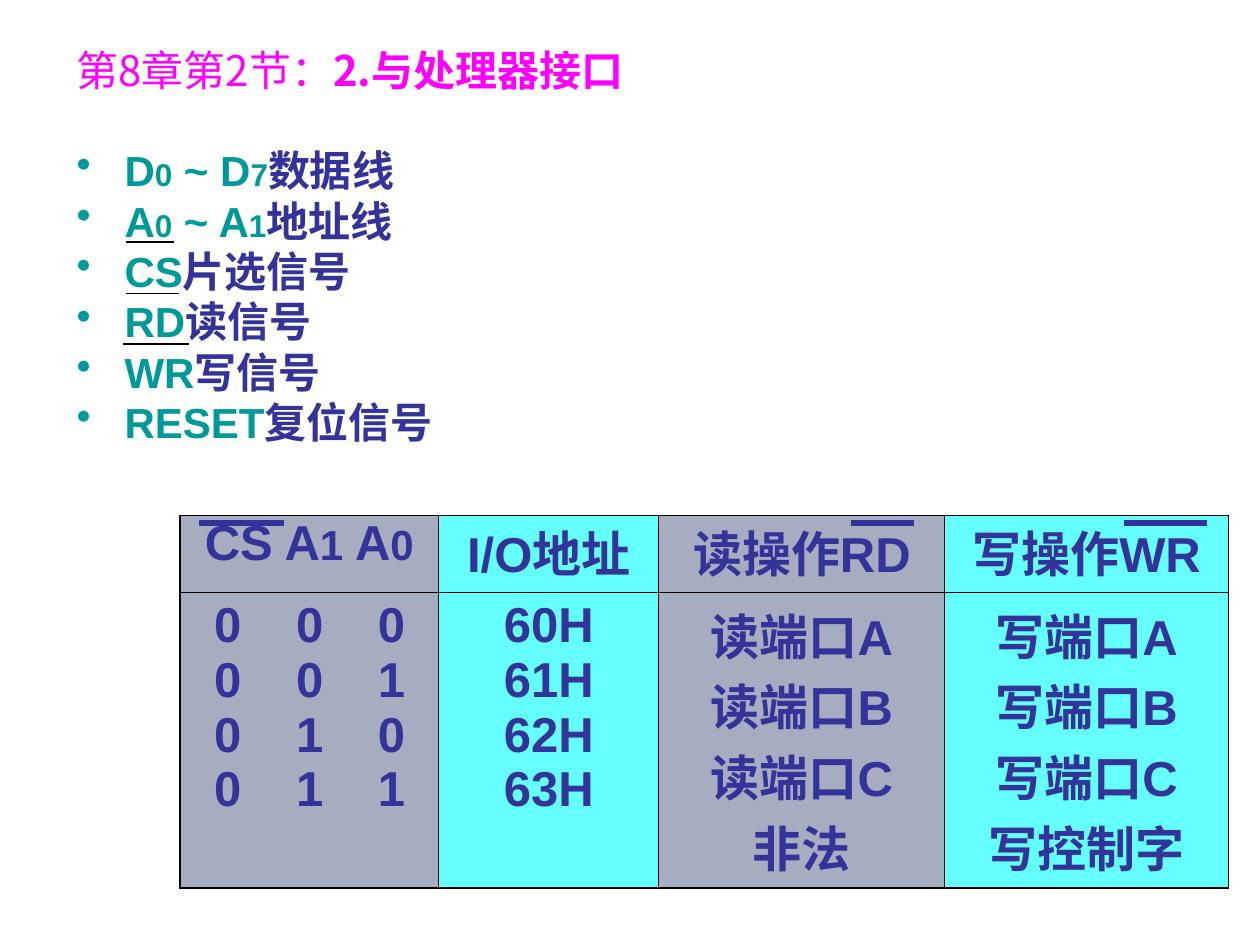
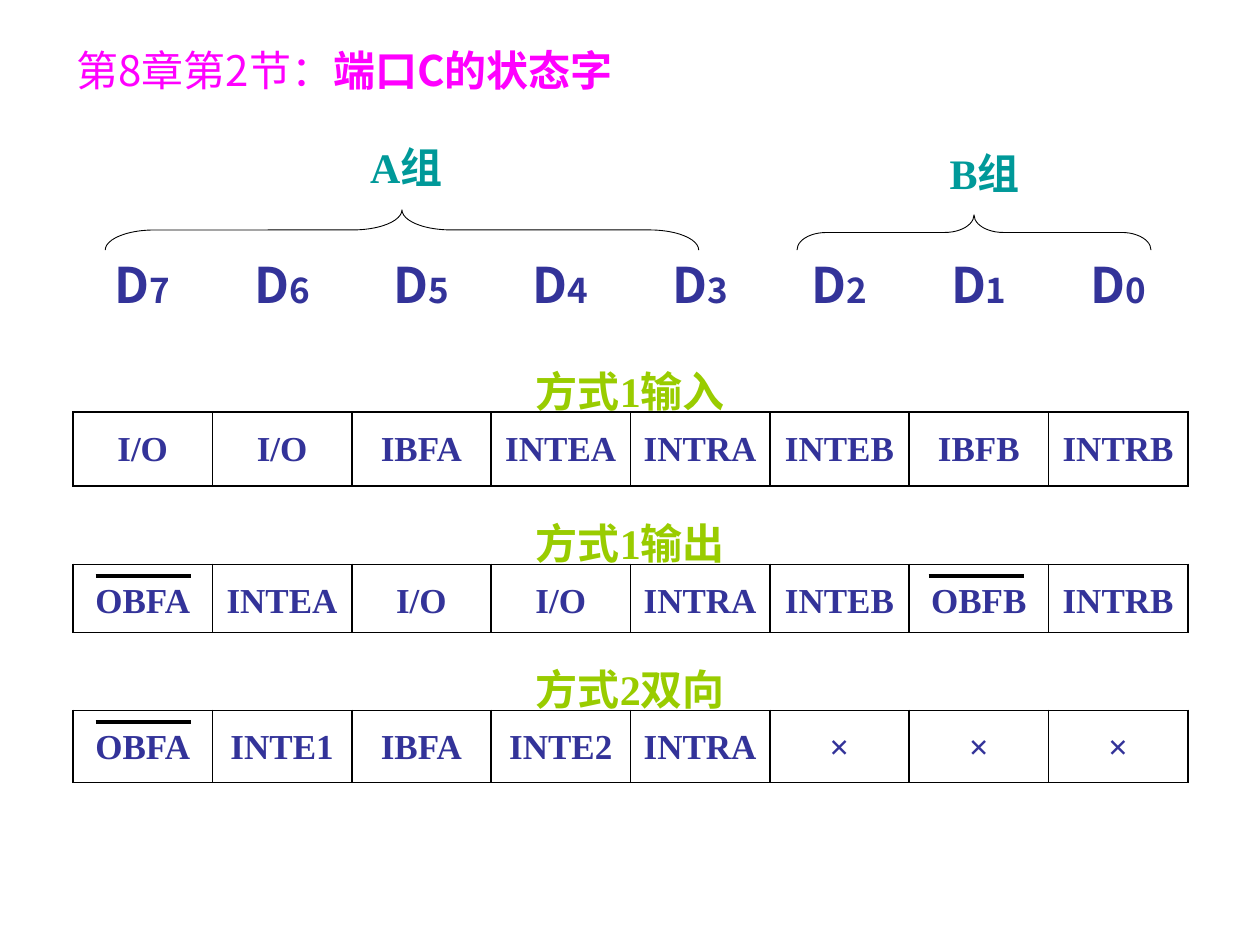
from lxml import etree
from pptx import Presentation
from pptx.dml.color import RGBColor
from pptx.enum.shapes import MSO_CONNECTOR, MSO_SHAPE
from pptx.enum.text import MSO_ANCHOR, PP_ALIGN
from pptx.oxml.ns import qn
from pptx.util import Inches, Pt

LEFT, CENTER = PP_ALIGN.LEFT, PP_ALIGN.CENTER
MIDDLE = MSO_ANCHOR.MIDDLE
STRAIGHT = MSO_CONNECTOR.STRAIGHT
BRACE = MSO_SHAPE.LEFT_BRACE
SANS, SERIF = "Arial", "Times New Roman"
CJK, CJK_TITLE = "Noto Sans CJK SC", "Noto Sans CJK JP"
PLAIN_TABLE = "{2D5ABB26-0587-4C30-8999-92F81FD0307C}"
COLORS = {
    "title": "FF00FF",
    "signal": "009999",
    "body": "333399",
    "mode": "99CC00",
    "gray": "A6ADC0",
    "cyan": "66FFFF",
    "black": "000000",
}


def write(paragraph, runs, align=LEFT, **common):
    """Add (text, look) runs; the common look goes on the paragraph."""
    paragraph.alignment = align
    looks = [(paragraph.font, common)]
    for text, own in runs:
        run = paragraph.add_run()
        run.text = text
        if own:
            looks.append((run.font, own))
    for font, look in looks:
        if "size" in look:
            font.size = Pt(look["size"])
        if "bold" in look:
            font.bold = look["bold"]
        if "color" in look:
            font.color.rgb = RGBColor.from_string(COLORS[look["color"]])
        if "face" in look:
            face = look["face"]
            font.name = face
            etree.SubElement(font._rPr, qn("a:ea"), typeface=face if "CJK" in face else CJK)


def set_borders(cell, **widths):
    """Draw black edges, given in points in the order L, R, T, B."""
    properties = cell._tc.get_or_add_tcPr()
    for position, (side, width) in enumerate(widths.items()):
        edge = etree.Element(qn(f"a:ln{side}"), w=str(Pt(width)))
        fill = etree.SubElement(edge, qn("a:solidFill"))
        etree.SubElement(fill, qn("a:srgbClr"), val=COLORS["black"])
        properties.insert(position, edge)


prs = Presentation()
prs.slide_width, prs.slide_height = Inches(10), Inches(7.5)

slides = []
for topic in ("2.与处理器接口", "端口C的状态字"):
    slide = prs.slides.add_slide(prs.slide_layouts[6])
    title = slide.shapes.add_textbox(Inches(0.51), Inches(0.28), Inches(9), Inches(0.55)).text_frame
    title.word_wrap = True
    title.vertical_anchor = MIDDLE
    write(title.paragraphs[0],
          [("第8章第2节：", {"face": CJK_TITLE}), (topic, {"face": CJK, "bold": True})],
          size=24, color="title")
    slides.append(slide)
interface, status = slides

# Processor interface: signal list
small = {"size": 18}
signals = [
    ([("D", {}), ("0", small), (" ~ D", {}), ("7", small)], "数据线"),
    ([("A", {}), ("0", small), (" ~ A", {}), ("1", small)], "地址线"),
    ([("CS", {})], "片选信号"),
    ([("RD", {})], "读信号"),
    ([("WR", {})], "写信号"),
    ([("RESET", {})], "复位信号"),
]
signal_list = interface.shapes.add_textbox(
    Inches(0.51), Inches(1.1), Inches(3.45), Inches(2.46)).text_frame
signal_list.word_wrap = True
for i, (pin, meaning) in enumerate(signals):
    paragraph = signal_list.paragraphs[0] if i == 0 else signal_list.add_paragraph()
    paragraph.line_spacing = Pt(28.8)
    properties = paragraph._p.get_or_add_pPr()
    properties.set("marL", str(Inches(0.38)))
    properties.set("indent", str(-Inches(0.38)))
    bullet_color = etree.SubElement(properties, qn("a:buClr"))
    etree.SubElement(bullet_color, qn("a:srgbClr"), val=COLORS["signal"])
    etree.SubElement(properties, qn("a:buChar"), char="•")
    write(paragraph, pin + [(meaning, {"face": SERIF, "color": "body"})],
          size=24, bold=True, color="signal", face=SANS)

# Processor interface: port addresses
subscript = {"size": 24}
address_columns = [
    (2.05, "gray", [("CS A", {}), ("1", subscript), (" A", {}), ("0", subscript)],
     ["0\t0\t0", "0\t0\t1", "0\t1\t0", "0\t1\t1"]),
    (1.75, "cyan", [("I/O地址", {})], ["60H", "61H", "62H", "63H"]),
    (2.27, "gray", [("读操作RD", {})], ["读端口A", "读端口B", "读端口C", "非法"]),
    (2.25, "cyan", [("写操作WR", {})], ["写端口A", "写端口B", "写端口C", "写控制字"]),
]
address_frame = interface.shapes.add_table(
    2, 4, Inches(1.43), Inches(4.09), Inches(8.32), Inches(2.96))
addresses = address_frame.table
addresses.rows[0].height, addresses.rows[1].height = Inches(0.61), Inches(2.35)
for c, (width, shade, heading, entries) in enumerate(address_columns):
    addresses.columns[c].width = Inches(width)
    head, body = addresses.cell(0, c), addresses.cell(1, c)
    head_paragraph = head.text_frame.paragraphs[0]
    head_paragraph.line_spacing = 0.9
    write(head_paragraph, heading, CENTER, size=28, bold=True, color="body", face=SANS)
    for i, entry in enumerate(entries):
        frame = body.text_frame
        paragraph = frame.paragraphs[0] if i == 0 else frame.add_paragraph()
        if "\t" in entry:
            body.margin_left = Inches(0.27)
            tabs = etree.SubElement(paragraph._p.get_or_add_pPr(), qn("a:tabLst"))
            for stop in (0.65, 1.3):
                etree.SubElement(tabs, qn("a:tab"), pos=str(Inches(stop)), algn="l")
        write(paragraph, [(entry, {})], LEFT if "\t" in entry else CENTER,
              size=28, bold=True, color="body", face=SANS)
    for r, cell in enumerate((head, body)):
        cell.fill.solid()
        cell.fill.fore_color.rgb = RGBColor.from_string(COLORS[shade])
        set_borders(cell, L=1.08 if c == 0 else 0.75, R=1.08 if c == 3 else 0.75,
                    T=1.08 if r == 0 else 0.75, B=1.08 if r == 1 else 0.75)

# Port C status word
status_rows = [
    (0.74, [f"D{bit}" for bit in range(7, -1, -1)]),
    (0.62, ["方式1输入"]),
    (0.59, ["I/O", "I/O", "IBFA", "INTEA", "INTRA", "INTEB", "IBFB", "INTRB"]),
    (0.62, ["方式1输出"]),
    (0.54, ["OBFA", "INTEA", "I/O", "I/O", "INTRA", "INTEB", "OBFB", "INTRB"]),
    (0.62, ["方式2双向"]),
    (0.57, ["OBFA", "INTE1", "IBFA", "INTE2", "INTRA", "×", "×", "×"]),
]
status_frame = status.shapes.add_table(
    7, 8, Inches(0.58), Inches(1.91), Inches(8.85), Inches(4.3))
words = status_frame.table
for r, (height, labels) in enumerate(status_rows):
    words.rows[r].height = Inches(height)
    is_mode = len(labels) == 1
    if is_mode:
        words.cell(r, 0).merge(words.cell(r, 7))
    for c, label in enumerate(labels):
        paragraph = words.cell(r, c).text_frame.paragraphs[0]
        if r == 0:
            write(paragraph, [("D", {}), (label[1:], {"size": 20})], CENTER,
                  size=28, bold=True, color="body", face=CJK)
        else:
            paragraph.line_spacing = 1.3
            write(paragraph, [(label, {})], CENTER, size=24 if is_mode else 20, bold=True,
                  color="mode" if is_mode else "body", face=SERIF)
    for c in range(8):
        cell = words.cell(r, c)
        cell.fill.background()
        if is_mode:
            edges = {"B": 1.08} if r == 1 else {"T": 1.08, "B": 1.08}
            set_borders(cell, **edges)
        elif r > 0:
            set_borders(cell, L=1.08, R=1.08, T=1.08, B=1.08)

for frame in (address_frame, status_frame):
    frame.table.first_row = frame.table.horz_banding = False
    frame.table._tbl.tblPr.find(qn("a:tableStyleId")).text = PLAIN_TABLE

# Group labels, each over a brace opening downwards
groups = [
    ("A组", 2.65, 1.11, 1.15, (3.03, -0.53, 0.32, 4.71), 1.22),
    ("B组", 7.22, 1.16, 1.19, (7.59, 0.44, 0.28, 2.81), 0.83),
]
for name, left, top, width, brace_box, curl in groups:
    label = status.shapes.add_textbox(
        Inches(left), Inches(top), Inches(width), Inches(0.43)).text_frame
    label.word_wrap = True
    label.margin_left = label.margin_right = Inches(0.01)
    label.margin_top = label.margin_bottom = Inches(0.01)
    write(label.paragraphs[0], [(name, {})], CENTER,
          size=24, bold=True, color="signal", face=SERIF)
    brace = status.shapes.add_shape(BRACE, *[Inches(v) for v in brace_box])
    brace.rotation = 90
    brace.adjustments[0] = curl
    brace.shadow.inherit = False
    brace.fill.background()
    brace.line.color.rgb = RGBColor.from_string(COLORS["black"])
    brace.line.width = Pt(0.5)

# Bars over active-low signal names
overbars = [
    (interface, "black", 0.75, [(1, 1.38, 1.92), (1, 1.42, 2.33), (0.98, 1.5, 2.73)]),
    (interface, "body", 3, [(1.58, 2.25, 4.15), (6.75, 7.25, 4.15), (8.92, 9.58, 4.15)]),
    (status, "black", 2.25, [(0.76, 1.52, 4.57), (0.76, 1.52, 5.73), (7.37, 8.13, 4.57)]),
]
for slide, color, weight, spans in overbars:
    for start, end, y in spans:
        bar = slide.shapes.add_connector(
            STRAIGHT, Inches(start), Inches(y), Inches(end), Inches(y))
        bar.line.color.rgb = RGBColor.from_string(COLORS[color])
        bar.line.width = Pt(weight)
        etree.SubElement(bar._element.spPr, qn("a:effectLst"))

prs.save("out.pptx")
